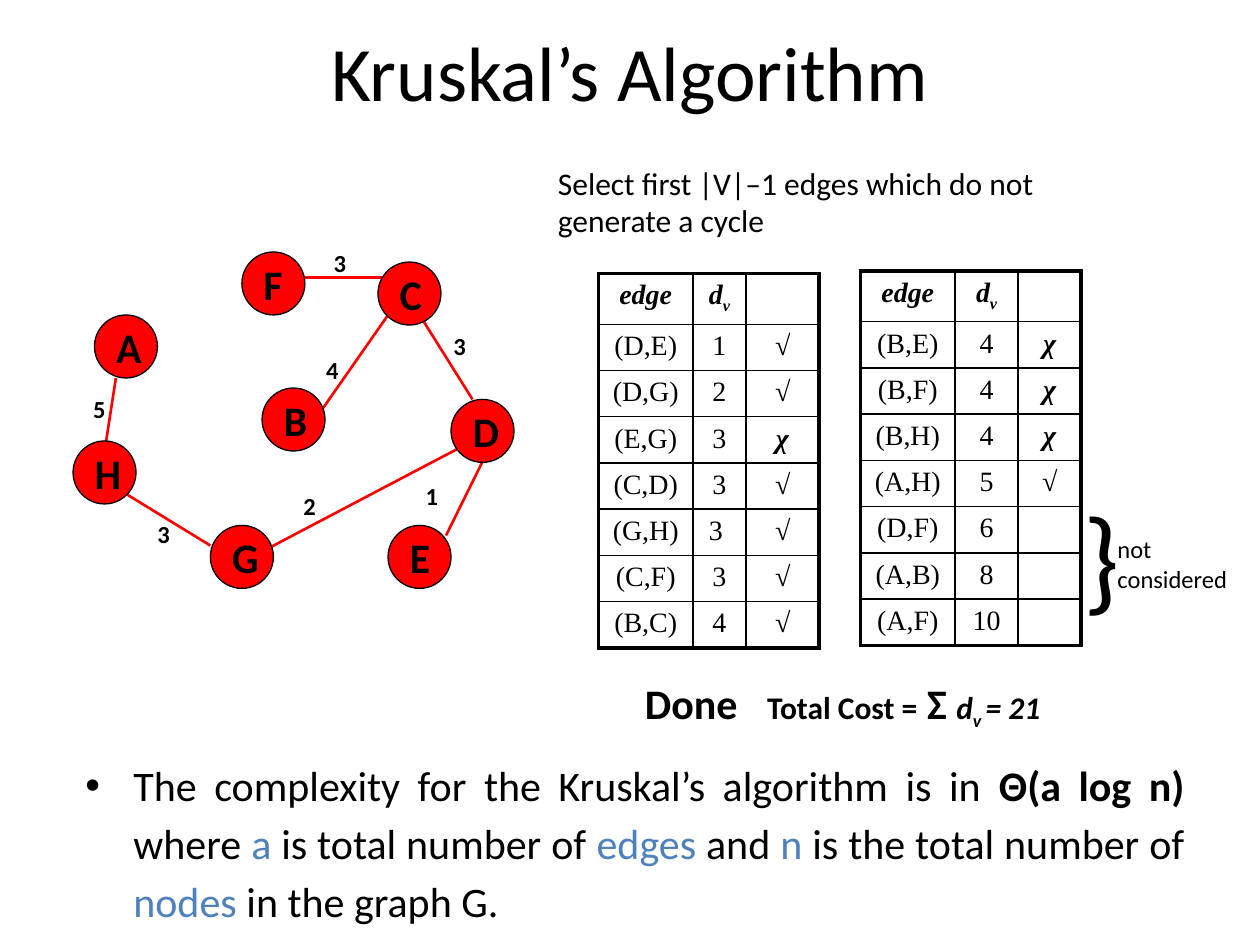
from dataclasses import dataclass

from pptx import Presentation, util as u
from pptx.dml.color import RGBColor
from pptx.enum import shapes as es, text as et
from pptx.oxml import parse_xml
from pptx.oxml.ns import nsdecls


@dataclass
class Theme:
    ink: str = "000000"
    red: str = "FF0000"
    blue: str = "4F81BD"
    sans: str = "Calibri"
    serif: str = "Times New Roman"
    title: int = 44
    body: int = 24
    note: int = 18
    cell: int = 16
    label: int = 14
    brace: int = 66
    edge: float = 1.5
    ring: float = 0.75
    thick: float = 2.25
    thin: float = 1


def box(*sides):
    return [u.Inches(side) for side in sides]


def xml(tag, attrs="", inner=""):
    return parse_xml(f"<a:{tag} {nsdecls('a')} {attrs}>{inner}</a:{tag}>")


class Deck:
    def __init__(self, theme):
        self.theme = theme
        self.prs = Presentation()
        self.prs.slide_width, self.prs.slide_height = box(10, 7.5)
        self.slide = self.prs.slides.add_slide(self.prs.slide_layouts[5])
        self.shapes = self.slide.shapes

    def add_runs(self, para, runs, **base):
        """Add runs, given as a string or as (string, changed format) pairs."""
        if isinstance(runs, str):
            runs = [(runs, {})]
        for words, extra in runs:
            form = {"name": self.theme.sans, "size": self.theme.body,
                    "color": self.theme.ink, "bold": False, **base, **extra}
            run = para.add_run()
            run.text = words
            run.font.color.rgb = RGBColor.from_string(form.pop("color"))
            form["size"] = u.Pt(form["size"])
            if form.pop("sub", False):
                run._r.get_or_add_rPr().set("baseline", "-25000")
            for key, value in form.items():
                setattr(run.font, key, value)

    def title(self, words, *place):
        head = self.shapes.title
        head.left, head.top, head.width, head.height = box(*place)
        head.text_frame.vertical_anchor = et.MSO_ANCHOR.MIDDLE
        para = head.text_frame.paragraphs[0]
        para.alignment = et.PP_ALIGN.CENTER
        self.add_runs(para, words, size=self.theme.title)

    def text(self, place, *lines, **form):
        """Add a text box and return its first paragraph."""
        frame = self.shapes.add_textbox(*box(*place)).text_frame
        frame.word_wrap = True
        for num, runs in enumerate(lines):
            para = frame.add_paragraph() if num else frame.paragraphs[0]
            self.add_runs(para, runs, **form)
        return frame.paragraphs[0]

    def line(self, *ends):
        link = self.shapes.add_connector(es.MSO_CONNECTOR.STRAIGHT, *box(*ends))
        link.line.color.rgb = RGBColor.from_string(self.theme.red)
        link.line.width = u.Pt(self.theme.edge)
        link._element.spPr.append(xml("effectLst"))

    def node(self, name, left, top):
        disc = self.shapes.add_shape(es.MSO_SHAPE.OVAL, *box(left, top, 0.5, 0.5))
        disc.shadow.inherit = False
        disc.fill.solid()
        disc.fill.fore_color.rgb = RGBColor.from_string(self.theme.red)
        disc.line.color.rgb = RGBColor.from_string(self.theme.ink)
        disc.line.width = u.Pt(self.theme.ring)
        frame = disc.text_frame
        frame.word_wrap = False
        frame.vertical_anchor = et.MSO_ANCHOR.MIDDLE
        frame.paragraphs[0].alignment = et.PP_ALIGN.LEFT
        self.add_runs(frame.paragraphs[0], name, bold=True)

    def border(self, cell, outer):
        """Rule all four sides, thick on those named in outer."""
        for side in "LRTB":
            width = self.theme.thick if side in outer else self.theme.thin
            paint = f'<a:solidFill><a:srgbClr val="{self.theme.ink}"/></a:solidFill>'
            cell._tc.get_or_add_tcPr().append(
                xml("ln" + side, f'w="{u.Pt(width)}"', paint))

    def table(self, left, top, cols, rows):
        first, total = 0.4, 2.97
        grid = self.shapes.add_table(
            len(rows), len(cols), *box(left, top, sum(cols), total)).table
        grid.first_row = grid.horz_banding = False
        for col, width in zip(grid.columns, cols):
            col.width = u.Inches(width)
        step = (total - first) / (len(rows) - 1)
        for r, row in enumerate(rows):
            grid.rows[r].height = u.Inches(step if r else first)
            for c, words in enumerate(row):
                cell = grid.cell(r, c)
                outer = ("T" if r == 0 else "") + ("L" if c == 0 else "")
                outer += "B" if r == len(rows) - 1 else ""
                outer += "R" if c == len(cols) - 1 else ""
                self.border(cell, outer)
                cell.fill.background()
                if not words:
                    cell.margin_top = cell.margin_bottom = 0
                    continue
                para = cell.text_frame.paragraphs[0]
                para.alignment = et.PP_ALIGN.CENTER
                strong = r == 0 or c == 2
                self.add_runs(para, words, name=self.theme.serif,
                              size=self.theme.cell, bold=strong, italic=strong)

    def bullet(self, place, runs):
        para = self.text(place, runs)
        props = para._p.get_or_add_pPr()
        indent = u.Inches(0.38)
        props.set("marL", str(indent))
        props.set("indent", str(-indent))
        props.append(xml("buFont", 'typeface="Arial"'))
        props.append(xml("buChar", 'char="•"'))
        para.alignment = et.PP_ALIGN.JUSTIFY
        para.line_spacing = 1.15
        para.space_after = u.Pt(10)


LINKS = [(3.95, 3.42, 3.54, 4.25), (2.5, 3.33, 3.08, 2.5), (2, 4.42, 3.75, 3.5),
         (0.83, 3.58, 0.92, 3), (2.38, 2.2, 3.05, 2.2), (3.33, 2.5, 3.75, 3.17),
         (1.67, 4.33, 1, 3.92)]
NODES = [("A", 0.75, 2.5), ("H", 0.58, 3.5), ("B", 2.08, 3.08), ("F", 1.92, 2),
         ("E", 3.08, 4.17), ("D", 3.58, 3.17), ("C", 3, 2.08), ("G", 1.67, 4.17)]
COSTS = [("5", 0.64, 3.08), ("1", 3.28, 3.77), ("2", 2.31, 3.85), ("3", 3.5, 2.58),
         ("3", 2.55, 1.92), ("3", 1.15, 4.07), ("4", 2.49, 2.77)]
HEAD = ("edge", [("d", {}), ("v", {"sub": True})], "")
TAKEN = [HEAD, ("(D,E)", "1", "√"), ("(D,G)", "2", "√"), ("(E,G)", "3", "χ"),
         ("(C,D)", "3", "√"), ("(G,H)", "3 ", "√"), ("(C,F)", "3", "√"),
         ("(B,C)", "4", "√")]
REST = [HEAD, ("(B,E)", "4", "χ"), ("(B,F)", "4", "χ"), ("(B,H)", "4", "χ"),
        ("(A,H)", "5", "√"), ("(D,F)", "6", ""), ("(A,B)", "8", ""),
        ("(A,F)", "10", "")]


def main():
    theme = Theme()
    deck = Deck(theme)
    deck.title("Kruskal’s Algorithm", 0.21, 0.12, 9.58, 0.88)
    deck.text((4.33, 1.25, 4.42, 0.77),
              "Select first |V|–1 edges which do not generate a cycle", size=theme.note)
    for ends in LINKS:
        deck.line(*ends)
    for node in NODES:
        deck.node(*node)
    for cost, left, top in COSTS:
        deck.text((left, top, 0.33, 0.33), cost, size=theme.label, bold=True)
    deck.table(4.75, 2.17, (0.75, 0.42, 0.58), TAKEN)
    deck.table(6.83, 2.15, (0.75, 0.5, 0.5), REST)

    small = {"size": theme.note}
    slant = {**small, "italic": True}
    total = deck.text((5.02, 5.33, 3.75, 0.5), [
        ("Done\t", {}), ("Total Cost =", small), (" Σ ", {}), ("d", slant),
        ("v ", {**slant, "sub": True}), ("= 21", slant)], bold=True)
    stop = f'<a:tab pos="{u.Inches(0.97)}" algn="l"/>'
    total._p.get_or_add_pPr().append(xml("tabLst", "", stop))

    deck.text((8.5, 3.8, 0.5, 1.2), "}", size=theme.brace)
    deck.text((8.77, 4.19, 1.08, 0.57), "not", "considered", size=theme.label)
    blue = {"color": theme.blue}
    deck.bullet((0.58, 5.92, 8.92, 1.49), [
        ("The complexity for the Kruskal’s algorithm is in ", {}),
        ("Θ(a log n)", {"bold": True}), (" where ", {}), ("a", blue),
        (" is total number of ", {}), ("edges", blue), (" and ", {}), ("n", blue),
        (" is the total number of ", {}), ("nodes", blue), (" in the graph G.", {})])
    deck.prs.save("out.pptx")


if __name__ == "__main__":
    main()
